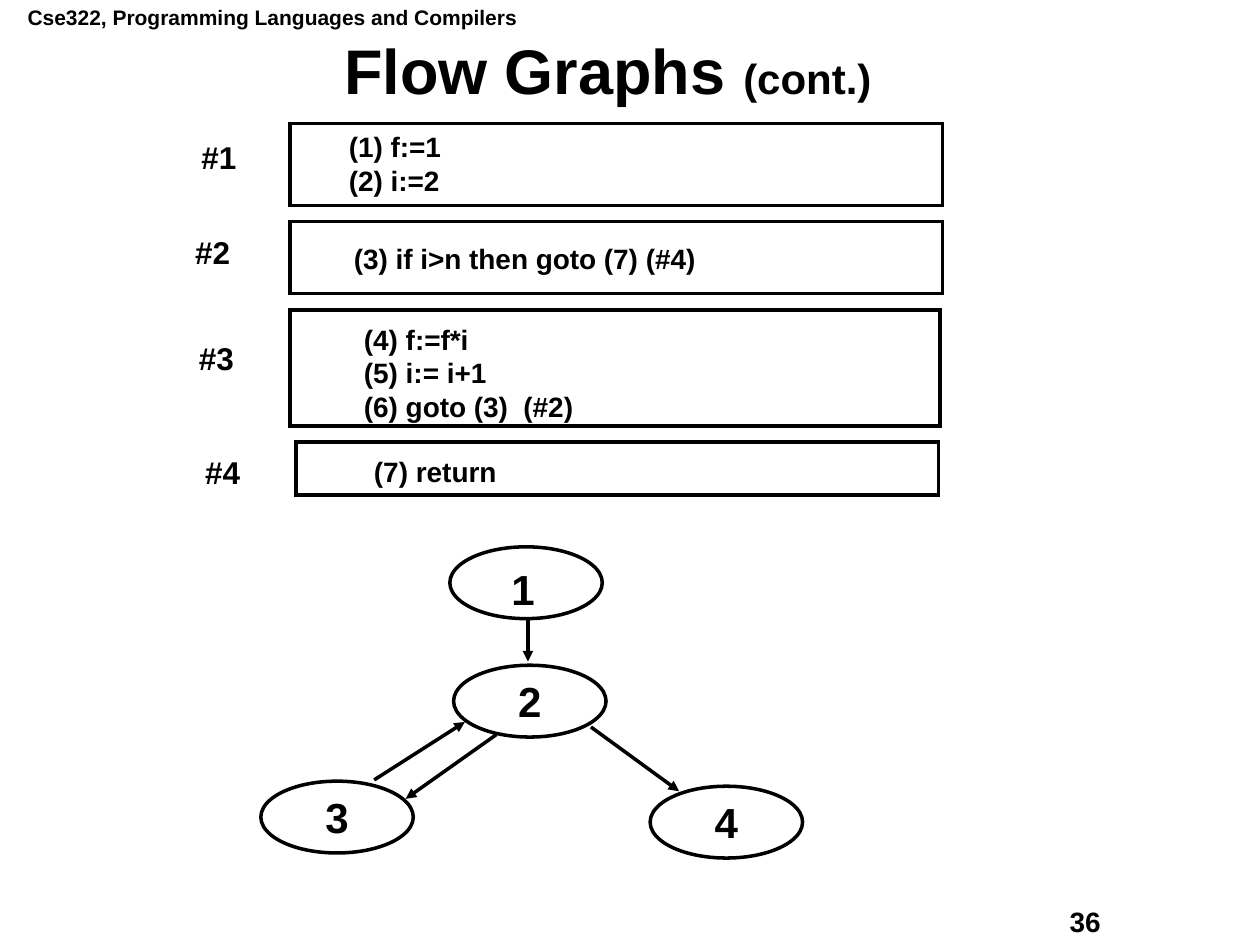
from pptx import Presentation
from pptx.dml.color import RGBColor as Rgb
from pptx.enum.shapes import MSO_CONNECTOR as Link, MSO_SHAPE as Form
from pptx.enum.text import MSO_ANCHOR as Anchor, MSO_AUTO_SIZE as Auto
from pptx.enum.text import PP_ALIGN as Align
from pptx.oxml.ns import qn
from pptx.util import Inches, Pt
from lxml.etree import SubElement as Sub

INK = {"text": "000000", "line": "000000", "fill": "FFFFFF"}
FONT = "Arial"
OVAL = (1.21, 0.57)

BLOCKS = [
    ("#1", (1.5, 1.05), (2.3, 0.98, 5.18, 0.65), (2.67, 0.98, 0.93, 0.63),
     ["(1) f:=1", "(2) i:=2"]),
    ("#2", (1.45, 1.8), (2.3, 1.76, 5.18, 0.57), (2.71, 1.87, 2.93, 0.36),
     ["(3) if i>n then goto (7) (#4)"]),
    ("#3", (1.48, 2.64), (2.3, 2.46, 5.16, 0.92), (2.79, 2.51, 1.86, 0.9),
     ["(4) f:=f*i", "(5) i:= i+1", "(6) goto (3)  (#2)"]),
    ("#4", (1.53, 3.55), (2.35, 3.51, 5.1, 0.42), (2.87, 3.56, 1.17, 0.36),
     ["(7) return"]),
]
NODES = [("", 3.57, 4.34), ("2", 3.6, 5.28), ("3", 2.07, 6.2), ("4", 5.16, 6.24)]
EDGES = [
    (4.19, 4.92, 4.19, 5.25),
    (3.94, 5.83, 3.22, 6.34),
    (4.69, 5.77, 5.39, 6.28),
    (2.97, 6.19, 3.69, 5.73),
]


def color(name):
    return Rgb.from_string(INK[name])


def inch(box):
    return [Inches(n) for n in box]


def write(frame, lines, size=16, align=Align.LEFT, anchor=Anchor.TOP,
          wrap=False, space=None, fit=Auto.NONE):
    frame.word_wrap = wrap
    frame.auto_size = fit
    frame.vertical_anchor = anchor
    for i, line in enumerate(lines):
        para = frame.add_paragraph() if i else frame.paragraphs[0]
        para.alignment = align
        para.line_spacing = space
        runs = [(line, size)] if isinstance(line, str) else line
        for text, points in runs:
            run = para.add_run()
            run.text = text
            run.font.name = FONT
            run.font.size = Pt(points)
            run.font.bold = True
            run.font.color.rgb = color("text")


def label(slide, box, lines, wrap=False, **style):
    area = slide.shapes.add_textbox(*inch(box))
    fit = Auto.NONE if wrap else Auto.SHAPE_TO_FIT_TEXT
    write(area.text_frame, lines, wrap=wrap, fit=fit, **style)


def shape(slide, form, box):
    item = slide.shapes.add_shape(form, *inch(box))
    item.shadow.inherit = False
    item.fill.solid()
    item.fill.fore_color.rgb = color("fill")
    item.line.color.rgb = color("line")
    item.line.width = Pt(2)
    Sub(item.line._get_or_add_ln(), qn("a:miter"), lim="800000")
    return item


def node(slide, text, left, top):
    oval = shape(slide, Form.OVAL, (left, top, *OVAL))
    if text:
        write(oval.text_frame, [text], size=24, align=Align.CENTER,
              anchor=Anchor.MIDDLE)


def arrow(slide, ends):
    edge = slide.shapes.add_connector(Link.STRAIGHT, *inch(ends))
    edge.line.color.rgb = color("line")
    edge.line.width = Pt(2)
    Sub(edge.line._get_or_add_ln(), qn("a:tailEnd"), type="triangle")
    Sub(edge._element.spPr, qn("a:effectLst"))


def main():
    deck = Presentation()
    deck.slide_width, deck.slide_height = Inches(10), Inches(7.5)
    slide = deck.slides.add_slide(deck.slide_layouts[6])
    label(slide, (0.12, -0.01, 4.09, 0.3),
          ["Cse322, Programming Languages and Compilers"], size=12)
    label(slide, (8.39, 7.13, 1.27, 0.36), ["36"], wrap=True)
    label(slide, (0.31, 0.31, 9.03, 0.56),
          [[("Flow Graphs ", 36), ("(cont.)", 24)]],
          align=Align.CENTER, anchor=Anchor.MIDDLE, wrap=True, space=0.9)
    for name, spot, frame, area, code in BLOCKS:
        shape(slide, Form.RECTANGLE, frame)
        label(slide, area, code)
        label(slide, (*spot, 0.48, 0.4), [name], size=18)
    for item in NODES:
        node(slide, *item)
    label(slide, (3.96, 4.42, 0.38, 0.5), ["1"], size=24)
    for ends in EDGES:
        arrow(slide, ends)
    deck.save("out.pptx")


if __name__ == "__main__":
    main()
